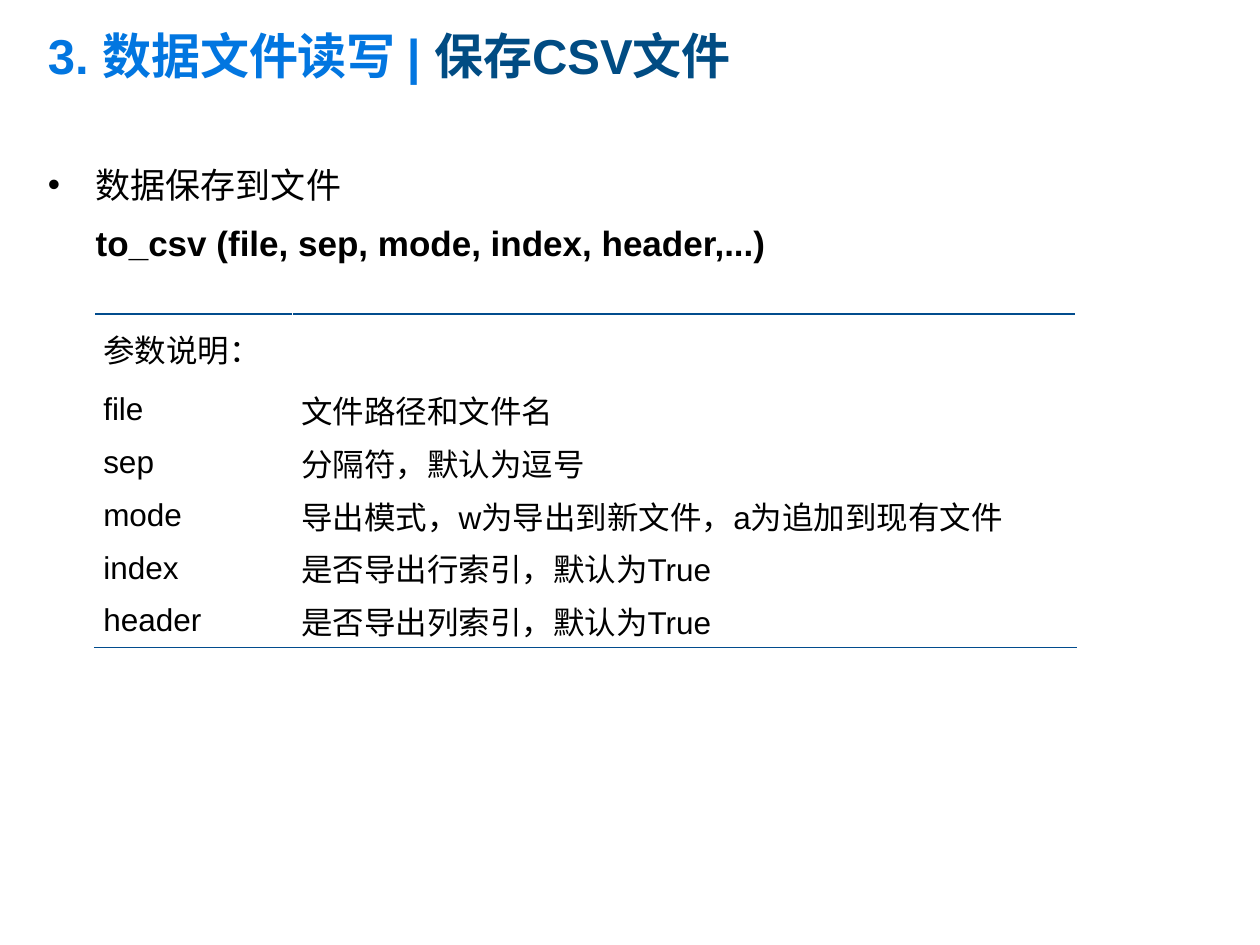
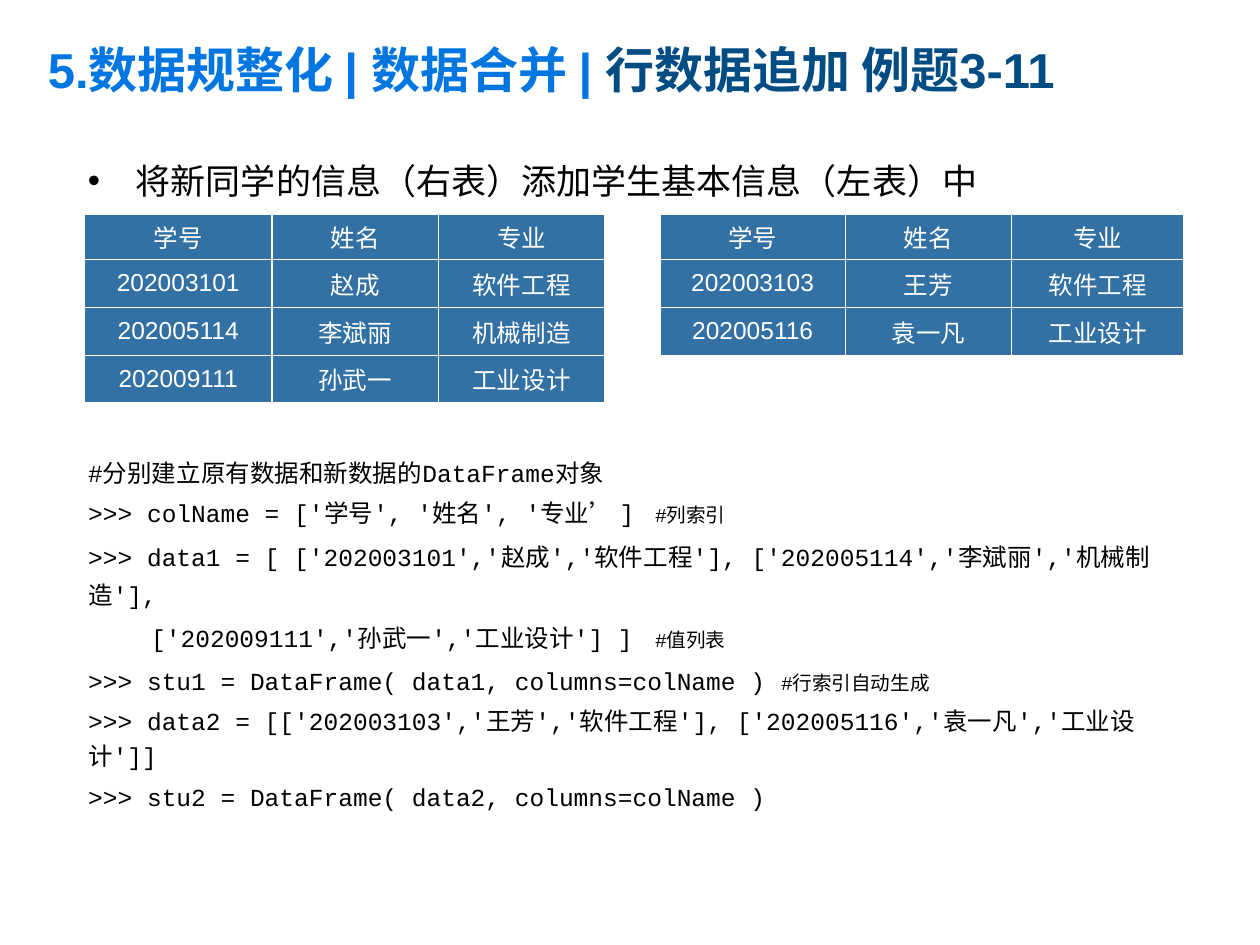
from lxml.etree import SubElement
from pptx import Presentation
from pptx.dml.color import RGBColor
from pptx.enum.text import MSO_ANCHOR as Anchor, MSO_AUTO_SIZE as AutoSize, PP_ALIGN as Align
from pptx.oxml import parse_xml
from pptx.oxml.ns import nsdecls, qn
from pptx.util import Inches, Pt

COLORS = {"section": "0276E0", "topic": "014C83", "rule": "014C8D",
          "text": "000000", "cell": "3371A4", "white": "FFFFFF"}
SANS, MONO = "Arial", "Courier New"
HANGING = 0.38

SAVE_TITLE = ("3. 数据文件读写 | ", "保存CSV文件")
SAVE_BULLET = "数据保存到文件"
SAVE_CALL = "to_csv (file, sep, mode, index, header,...)"
PARAMETERS = [
    ("参数说明：", ""),
    ("file", "文件路径和文件名"),
    ("sep", "分隔符，默认为逗号"),
    ("mode", "导出模式，w为导出到新文件，a为追加到现有文件"),
    ("index", "是否导出行索引，默认为True"),
    ("header", "是否导出列索引，默认为True"),
]

APPEND_TITLE = ("5.数据规整化 | 数据合并 | ", "行数据追加 例题3-11")
APPEND_BULLET = "将新同学的信息（右表）添加学生基本信息（左表）中"
HEADINGS = ("学号", "姓名", "专业")
STUDENTS = [
    HEADINGS + ("",) + HEADINGS,
    ("202003101", "赵成", "软件工程", "", "202003103", "王芳", "软件工程"),
    ("202005114", "李斌丽", "机械制造", "", "202005116", "袁一凡", "工业设计"),
    ("202009111", "孙武一", "工业设计", "", "", "", ""),
]
CODE = [
    ("#分别建立原有数据和新数据的DataFrame对象", "", 1.2, ()),
    (">>> colName = ['学号', '姓名', '专业’ ]\t", "#列索引", 1.2, (4.97,)),
    (">>> data1 = [ ['202003101','赵成','软件工程'], ['202005114','李斌丽','机械制造'],", "", 1.3, ()),
    ("\t['202009111','孙武一','工业设计'] ]\t", "#值列表", 1.3, (2.58, 7.63)),
    (">>> stu1 = DataFrame( data1, columns=colName )\t", "#行索引自动生成", 1.3, (6.67,)),
    (">>> data2 = [['202003103','王芳','软件工程'], ['202005116','袁一凡','工业设计']]", "", 1.2, ()),
    (">>> stu2 = DataFrame( data2, columns=colName )", "", 1.2, ()),
]


def place(shape, left, top, width, height):
    shape.left, shape.top = Inches(left), Inches(top)
    shape.width, shape.height = Inches(width), Inches(height)


def add_span(para, text, size, color="text", font=SANS, bold=False):
    span = para.add_run()
    span.text = text
    span.font.name, span.font.size, span.font.bold = font, Pt(size), bold
    span.font.color.rgb = RGBColor.from_string(COLORS[color])


def space(para, line, before):
    para.line_spacing, para.space_before, para.space_after = line, Pt(before), Pt(0)


def set_marker(para, bullet="", indent=0.0, tabs=()):
    props = para._p.get_or_add_pPr()
    props.set("marL", str(Inches(indent)))
    props.set("indent", str(-Inches(indent) if bullet else 0))
    if bullet:
        SubElement(props, qn("a:buFont"), typeface=SANS)
        SubElement(props, qn("a:buChar"), char=bullet)
    else:
        SubElement(props, qn("a:buNone"))
    if tabs:
        stops = SubElement(props, qn("a:tabLst"))
        for stop in tabs:
            SubElement(stops, qn("a:tab"), pos=str(Inches(stop)), algn="l")


def prepare_frame(shape, anchor):
    frame = shape.text_frame
    frame.word_wrap, frame.auto_size = True, AutoSize.NONE
    frame.vertical_anchor = anchor
    return frame


def add_page(deck, title, title_box, body_box):
    page = deck.slides.add_slide(deck.slide_layouts[1])
    place(page.shapes.title, *title_box)
    para = prepare_frame(page.shapes.title, Anchor.MIDDLE).paragraphs[0]
    para.alignment = Align.LEFT
    for text, color in zip(title, ("section", "topic")):
        add_span(para, text, 28, color, bold=True)
    body = page.placeholders[1]
    place(body, *body_box)
    return page, prepare_frame(body, Anchor.TOP)


def set_borders(cell, sides, color):
    props = cell._tc.get_or_add_tcPr()
    for index, side in enumerate(sides):
        props.insert(index, parse_xml(
            f'<a:ln{side} {nsdecls("a")} w="{Pt(1)}"><a:solidFill>'
            f'<a:srgbClr val="{COLORS[color]}"/></a:solidFill></a:ln{side}>'))


def add_grid(page, rows, left, top, widths, heights, size, color, align):
    frame = page.shapes.add_table(len(rows), len(widths), Inches(left), Inches(top),
                                  Inches(sum(widths)), Inches(sum(heights)))
    table = frame.table
    table.first_row = table.horz_banding = False
    for column, width in zip(table.columns, widths):
        column.width = Inches(width)
    for row, height, texts in zip(table.rows, heights, rows):
        row.height = Inches(height)
        for cell, text in zip(row.cells, texts):
            cell.margin_left = cell.margin_right = Inches(0.07)
            cell.margin_top = cell.margin_bottom = 0
            cell.vertical_anchor = Anchor.MIDDLE
            cell.fill.background()
            if text:
                para = cell.text_frame.paragraphs[0]
                para.alignment = align
                add_span(para, text, size, color)
    return table


def build_save_page(deck):
    page, frame = add_page(deck, SAVE_TITLE, (0.28, 0.01, 6.85, 0.85), (0.28, 1.15, 9.61, 5.98))
    lines = ((SAVE_BULLET, "•", False), (SAVE_CALL, "", True))
    for index, (text, bullet, bold) in enumerate(lines):
        para = frame.add_paragraph() if index else frame.paragraphs[0]
        space(para, 1.3, 2)
        set_marker(para, bullet, HANGING)
        add_span(para, text, 20, bold=bold)
    table = add_grid(page, PARAMETERS, 0.75, 2.49, (1.57, 6.22), [0.55] + [0.42] * 5,
                     18, "text", Align.JUSTIFY)
    for row, side in ((0, "T"), (len(PARAMETERS) - 1, "B")):
        for cell in table.rows[row].cells:
            set_borders(cell, side, "rule")


def build_append_page(deck):
    page, frame = add_page(deck, APPEND_TITLE, (0.28, 0.01, 8.58, 0.98), (0.6, 3.54, 9.05, 3.12))
    space(page.shapes.title.text_frame.paragraphs[0], 1.2, 5.6)
    for index, (code, remark, line, tabs) in enumerate(CODE):
        para = frame.add_paragraph() if index else frame.paragraphs[0]
        space(para, line, 2.8)
        set_marker(para, tabs=tabs)
        add_span(para, code, 14, font=MONO)
        if remark:
            add_span(para, remark, 11.2, font=MONO)
    table = add_grid(page, STUDENTS, 0.67, 1.7, (1.49, 1.32, 1.32, 0.44, 1.47, 1.32, 1.37),
                     [0.36] + [0.38] * 3, 14, "white", Align.CENTER)
    for row, texts in zip(table.rows, STUDENTS):
        for cell, text in zip(row.cells, texts):
            if text:
                cell.fill.solid()
                cell.fill.fore_color.rgb = RGBColor.from_string(COLORS["cell"])
                set_borders(cell, "LRTB", "white")
    table.cell(3, 3).merge(table.cell(3, 6))
    box = page.shapes.add_textbox(Inches(0.6), Inches(1.08), Inches(9.13), Inches(0.78))
    para = prepare_frame(box, Anchor.TOP).paragraphs[0]
    space(para, 1.4, 4)
    set_marker(para, "•", HANGING)
    add_span(para, APPEND_BULLET, 20)


def main():
    deck = Presentation()
    deck.slide_width, deck.slide_height = Inches(10), Inches(7.5)
    build_save_page(deck)
    build_append_page(deck)
    deck.save("out.pptx")


if __name__ == "__main__":
    main()
